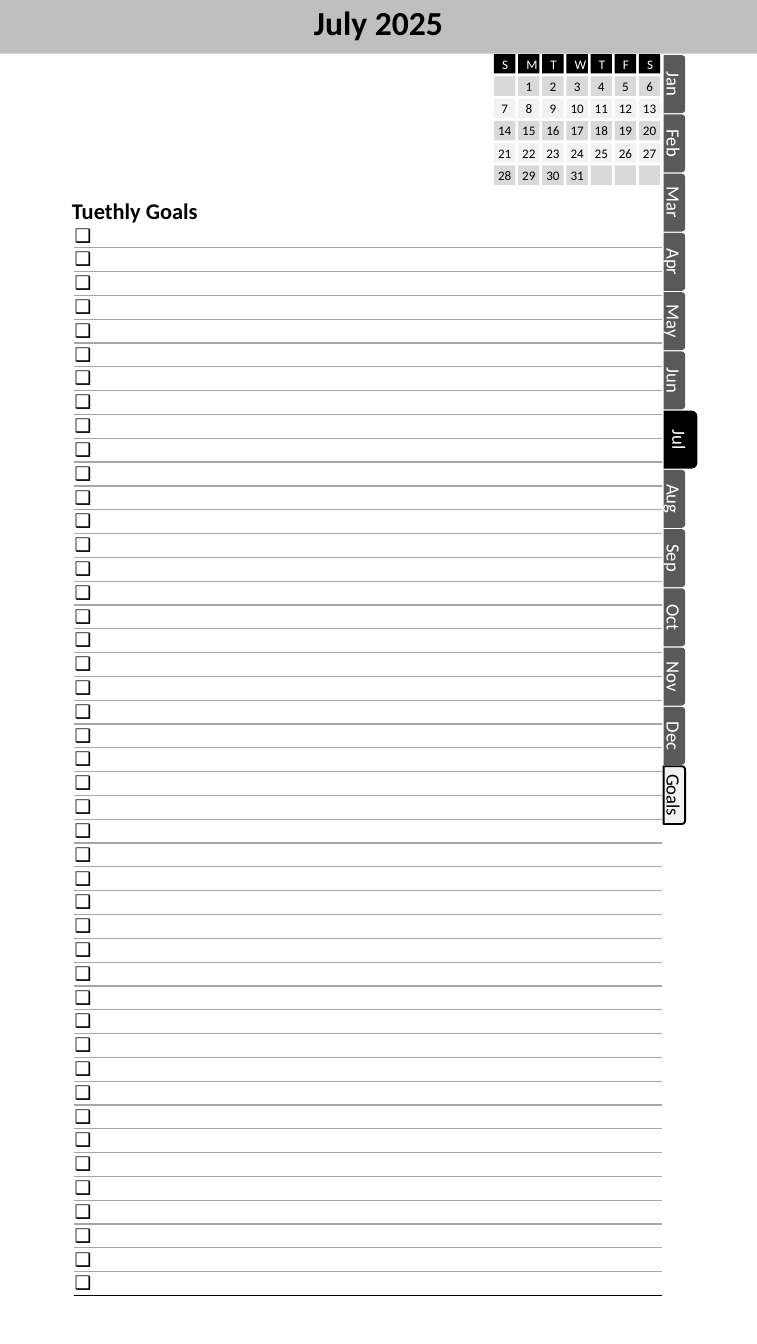
from lxml import etree
from pptx import Presentation
from pptx.dml.color import RGBColor
from pptx.enum import shapes, text
from pptx.oxml import ns
from pptx.util import Pt

BLACK = RGBColor(0x00, 0x00, 0x00)
WHITE = RGBColor(0xFF, 0xFF, 0xFF)
BAND = RGBColor(0xBF, 0xBF, 0xBF)
RULE = RGBColor(0xA6, 0xA6, 0xA6)
TAB = RGBColor(0x59, 0x59, 0x59)
LIGHT = RGBColor(0xF2, 0xF2, 0xF2)
MID = RGBColor(0xD9, 0xD9, 0xD9)
FONT = "Calibri"
WIDTH, HEIGHT = 405.36, 720
TABS = "Jan Feb Mar Apr May Jun Jul Aug Sep Oct Nov Dec Goals".split()
GOAL_ROWS = 45
GOAL_HEIGHT = 12.76


def write(tf, content, size, color, bold=False, align=text.PP_ALIGN.CENTER):
    """Put one formatted paragraph into a text frame."""
    tf.text = content
    p = tf.paragraphs[0]
    p.alignment = align
    for r in p.runs:
        r.font.name, r.font.size, r.font.bold = FONT, Pt(size), bold
        r.font.color.rgb = color
    return p


def set_insets(target, size=0):
    """Give a text frame or cell equal margins on all sides."""
    target.margin_left = target.margin_right = Pt(size)
    target.margin_top = target.margin_bottom = Pt(size)


def add_block(parent, kind, box, fill, content="", size=7, color=BLACK, inset=True):
    """Add a filled preset shape with centred text."""
    sp = parent.add_shape(kind, *(Pt(v) for v in box))
    sp.shadow.inherit = False
    sp.fill.solid()
    sp.fill.fore_color.rgb = fill
    sp.line.fill.background()
    tf = sp.text_frame
    tf.vertical_anchor = text.MSO_ANCHOR.MIDDLE
    if not inset:
        set_insets(tf)
    if content:
        write(tf, content, size, color)
    return sp


def add_title(s):
    """Place the month title over the header band."""
    band = add_block(s.shapes, shapes.MSO_SHAPE.RECTANGLE, (0, 0, WIDTH, 28.8), BAND)
    title = s.shapes.title
    title.element.addprevious(band.element)
    title.left, title.top, title.width, title.height = Pt(91.44), Pt(0), Pt(222.48), Pt(28.8)
    tf = title.text_frame
    set_insets(tf)
    tf.margin_bottom = Pt(2.4)
    tf.vertical_anchor = text.MSO_ANCHOR.MIDDLE
    p = write(tf, "July 2025", 18, BLACK, bold=True)
    p.line_spacing = 0.9


def add_heading(s):
    """Add the heading of the goal list."""
    tf = s.shapes.add_textbox(Pt(31.4), Pt(102.2), Pt(83), Pt(21.6)).text_frame
    tf.word_wrap = False
    write(tf, "Tuethly Goals", 12, BLACK, bold=True, align=text.PP_ALIGN.LEFT)


def add_checkbox(p):
    """Give a paragraph a check box bullet."""
    pPr = p._p.get_or_add_pPr()
    pPr.set("marL", str(Pt(13)))
    pPr.set("indent", str(-Pt(13)))
    etree.SubElement(pPr, ns.qn("a:buFont"), typeface=FONT)
    etree.SubElement(pPr, ns.qn("a:buChar"), char="❑")


def add_border(cell, side, color, width):
    """Draw one border of a table cell."""
    ln = etree.SubElement(cell._tc.get_or_add_tcPr(), ns.qn("a:" + side), w=str(Pt(width)))
    fill = etree.SubElement(ln, ns.qn("a:solidFill"))
    etree.SubElement(fill, ns.qn("a:srgbClr"), val=str(color))


def add_goals(s):
    """Add the ruled goal list with a check box on each row."""
    frame = s.shapes.add_table(GOAL_ROWS, 1, Pt(39.9), Pt(120), Pt(314),
                               Pt(GOAL_ROWS * GOAL_HEIGHT))
    table = frame.table
    table.first_row = table.horz_banding = False
    for i, row in enumerate(table.rows):
        row.height = Pt(GOAL_HEIGHT)
        cell = row.cells[0]
        set_insets(cell)
        cell.vertical_anchor = text.MSO_ANCHOR.MIDDLE
        add_checkbox(write(cell.text_frame, " ", 10, BLACK, align=text.PP_ALIGN.LEFT))
        if i:
            add_border(cell, "lnT", RULE, 0.75)
        last = i == GOAL_ROWS - 1
        add_border(cell, "lnB", BLACK if last else RULE, 1 if last else 0.75)
        cell.fill.background()


def add_tabs(s):
    """Add the month tabs down the right edge."""
    for i, name in enumerate(TABS):
        current, goals = name == "Jul", name == "Goals"
        depth = 18 if current else 11.5
        middle = 45.1 + 31.74 * i
        fill = BLACK if current else LIGHT if goals else TAB
        box = (355.4 + depth / 2 - 15.5, middle - depth / 2, 31, depth)
        sp = add_block(s.shapes, shapes.MSO_SHAPE.ROUND_2_SAME_RECTANGLE, box, fill,
                       name, 10, BLACK if goals else WHITE, inset=False)
        sp.rotation = 90
        if goals:
            sp.line.color.rgb = BLACK
            sp.line.width = Pt(1)


def add_calendar(s):
    """Add the small month calendar as a group of cells."""
    group = s.shapes.add_group_shape().shapes
    days = [""] + [str(d) for d in range(1, 32)] + [""] * 3
    for i, label in enumerate(list("SMTWTFS") + days):
        row, col = divmod(i, 7)
        fill = BLACK if row == 0 else MID if row % 2 else LIGHT
        box = (264.5 + 12.93 * col, 29 + 11.93 * row, 11.5, 10.4)
        add_block(group, shapes.MSO_SHAPE.RECTANGLE, box, fill, label, 7,
                  BLACK if row else WHITE, inset=row == 0)


def main():
    """Build the goals page and save it."""
    prs = Presentation()
    prs.slide_width, prs.slide_height = Pt(WIDTH), Pt(HEIGHT)
    s = prs.slides.add_slide(prs.slide_layouts[5])
    add_title(s)
    add_goals(s)
    add_heading(s)
    add_tabs(s)
    add_calendar(s)
    prs.save("out.pptx")


main()
